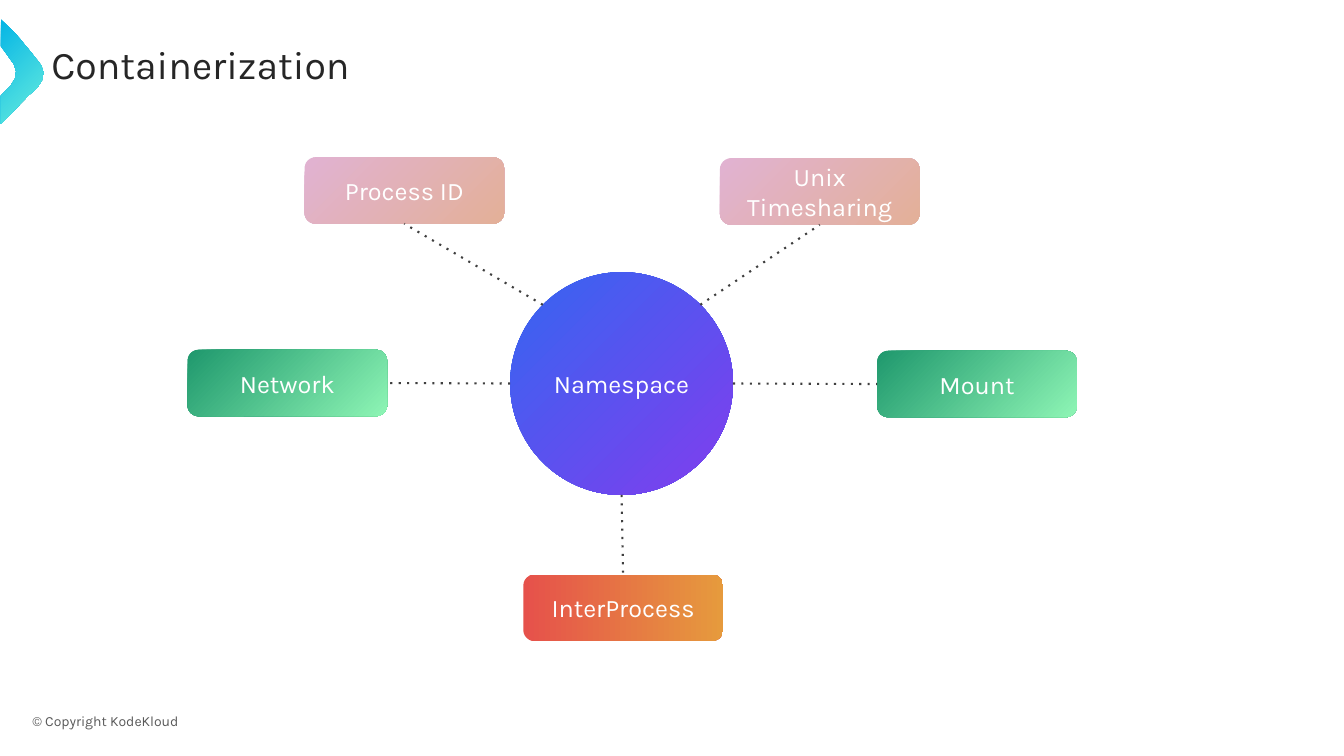
from math import cos, radians, sin

from lxml.etree import SubElement
from pptx import Presentation
from pptx.dml.color import RGBColor
from pptx.enum.dml import MSO_LINE
from pptx.enum.shapes import MSO_CONNECTOR, MSO_SHAPE
from pptx.enum.text import MSO_ANCHOR, PP_ALIGN
from pptx.oxml.ns import qn
from pptx.util import Inches, Pt

TITLE = "Containerization"
COPYRIGHT = "© Copyright KodeKloud"
FONT = "Karla"
PINK = ("E1B2D2", "E3B098", 45)
GREEN = ("1F986D", "8EF5B5", 45)
ORANGE = ("E6514B", "E69A3D", 0)
VIOLET = ("3566F1", "813DED", 45)
CYAN = ("05B5E5", "69EEDE", 45)

TOP, LEFT, BOTTOM, RIGHT = range(4)
HUB = "Namespace"
HUB_LEFT, HUB_TOP, HUB_SIZE = 5.06, 2.7, 2.21
BOX_WIDTH, BOX_HEIGHT = 1.98, 0.66
# label, left, top, gradient, joined side, clockwise angle of the spoke on the hub
NAMESPACES = [
    ("Process ID", 3.02, 1.56, PINK, BOTTOM, 225),
    ("Network", 1.86, 3.47, GREEN, RIGHT, 180),
    ("Unix Timesharing", 7.14, 1.57, PINK, BOTTOM, 315),
    ("InterProcess", 5.19, 5.7, ORANGE, TOP, 90),
    ("Mount", 8.7, 3.48, GREEN, LEFT, 0),
]
CHEVRON = [
    (0.01, 0.19), (0.16, 0.34), (0.3, 0.51), (0.41, 0.65), (0.43, 0.72),
    (0.42, 0.79), (0.37, 0.87), (0.28, 0.95), (0.01, 1.23), (0.01, 0.95),
    (0.1, 0.86), (0.15, 0.78), (0.16, 0.71), (0.14, 0.64), (0.04, 0.5),
    (0.01, 0.46),
]


def color(value):
    return RGBColor.from_string(value)


def write(shape, text, size, ink, align=PP_ALIGN.CENTER, anchor=MSO_ANCHOR.MIDDLE):
    frame = shape.text_frame
    frame.text = text
    frame.word_wrap = True
    frame.vertical_anchor = anchor
    paragraph = frame.paragraphs[0]
    paragraph.alignment = align
    font = paragraph.runs[0].font
    font.name, font.size = FONT, Pt(size)
    font.color.rgb = color(ink)
    return paragraph


def paint(shape, gradient):
    """Fill with a two-colour gradient whose angle runs clockwise."""
    *ends, angle = gradient
    shape.fill.gradient()
    shape.fill.gradient_angle = -angle % 360
    for stop, end in zip(shape.fill.gradient_stops, ends):
        stop.color.rgb = color(end)
    shape.line.fill.background()
    shape.shadow.inherit = False


def add_node(shapes, kind, label, left, top, width, height, gradient):
    node = shapes.add_shape(kind, Inches(left), Inches(top), Inches(width), Inches(height))
    paint(node, gradient)
    write(node, label, 18, "FFFFFF")
    return node


def add_spoke(shapes, box, side, angle):
    """Draw a dotted line from the hub's edge to the middle of a box side."""
    radius = HUB_SIZE / 2
    x = Inches(HUB_LEFT + radius + radius * cos(radians(angle)))
    y = Inches(HUB_TOP + radius + radius * sin(radians(angle)))
    spoke = shapes.add_connector(MSO_CONNECTOR.STRAIGHT, x, y, x, y)
    spoke.end_connect(box, side)
    spoke.line.color.rgb = color("3F3F3F")
    spoke.line.width = Pt(1.5)
    spoke.line.dash_style = MSO_LINE.ROUND_DOT
    for dash in spoke._element.iter(qn("a:prstDash")):
        dash.set("val", "dot")
    SubElement(spoke._element.spPr, qn("a:effectLst"))


def main():
    deck = Presentation()
    deck.slide_width, deck.slide_height = Inches(13.33), Inches(7.5)
    slide = deck.slides.add_slide(deck.slide_layouts[5])
    shapes = slide.shapes

    title = shapes.title
    title.left, title.top = Inches(0.41), Inches(0.4)
    title.width, title.height = Inches(12.52), Inches(0.81)
    heading = write(title, TITLE, 28, "262626", PP_ALIGN.LEFT, MSO_ANCHOR.TOP)
    heading.line_spacing = 0.9

    footer = shapes.add_textbox(Inches(0.18), Inches(7.02), Inches(1.73), Inches(0.27))
    write(footer, COPYRIGHT, 10, "595959")

    start, *outline = [(Inches(x), Inches(y)) for x, y in CHEVRON]
    builder = shapes.build_freeform(*start)
    builder.add_line_segments(outline)
    paint(builder.convert_to_shape(), CYAN)

    add_node(shapes, MSO_SHAPE.OVAL, HUB, HUB_LEFT, HUB_TOP, HUB_SIZE, HUB_SIZE, VIOLET)
    for label, left, top, gradient, side, angle in NAMESPACES:
        box = add_node(shapes, MSO_SHAPE.ROUNDED_RECTANGLE, label, left, top,
                       BOX_WIDTH, BOX_HEIGHT, gradient)
        add_spoke(shapes, box, side, angle)

    deck.save("out.pptx")


if __name__ == "__main__":
    main()
